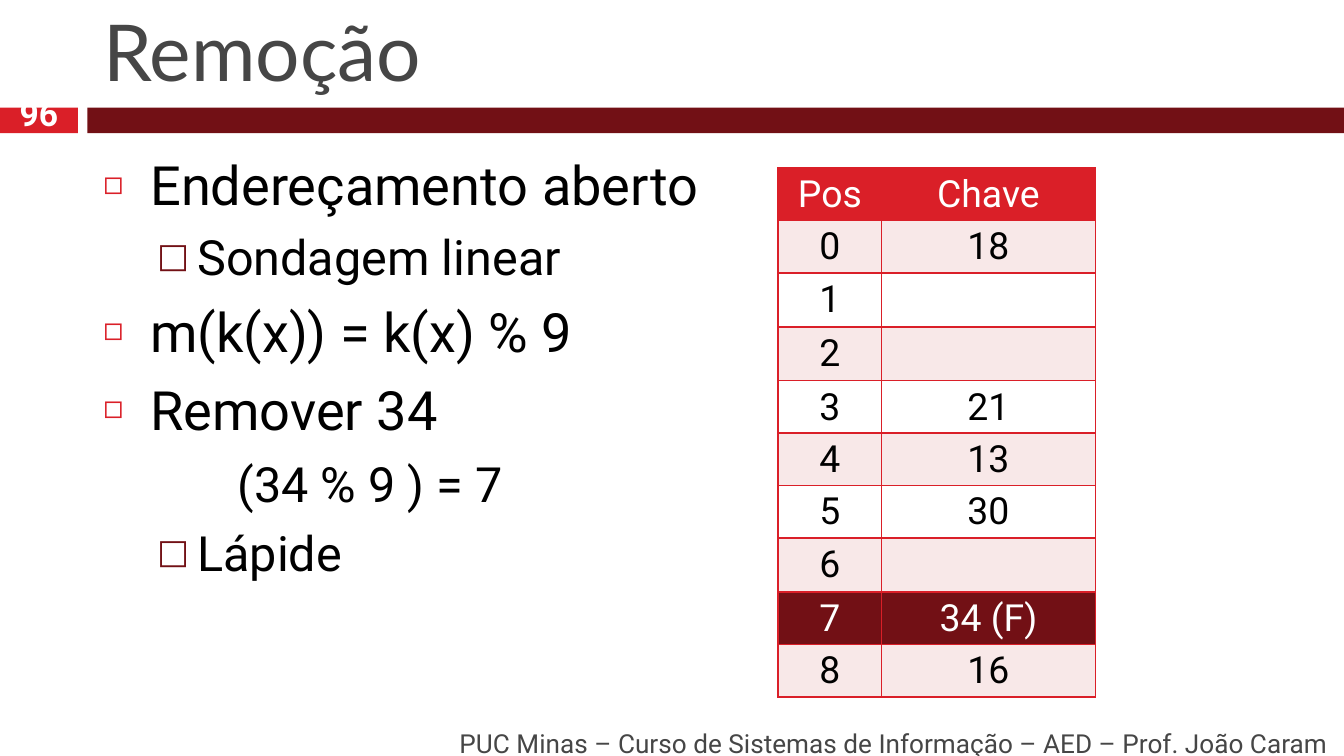
from pptx import Presentation
from pptx.dml.color import RGBColor
from pptx.enum.shapes import MSO_SHAPE
from pptx.enum.text import MSO_ANCHOR, PP_ALIGN
from pptx.oxml.ns import qn
from pptx.util import Inches, Pt
from lxml.etree import SubElement

THEME = {
    "red": "DA1F28", "dark": "721015", "gray": "464646",
    "black": "000000", "white": "FFFFFF", "pink": "F8E8E8",
    "heading": "Lato", "text": "Roboto",
    "title": 42, "body": 29, "sub": 26, "cell": 20, "number": 18, "footer": 14,
}
TITLE = "Remoção"
NUMBER = "96"
FOOTER = "PUC Minas – Curso de Sistemas de Informação – AED – Prof. João Caram"
BODY = [
    ("main", "Endereçamento aberto"),
    ("sub", "Sondagem linear"),
    ("main", "m(k(x)) = k(x) % 9"),
    ("main", "Remover 34"),
    ("plain", "(34 % 9 ) = 7"),
    ("sub", "Lápide"),
]
LEVELS = {
    "main": {"level": 0, "size": "body", "left": 0.35, "hang": -0.35,
             "before": 7, "bullet": ("◻", "red", 60)},
    "sub": {"level": 1, "size": "sub", "left": 0.7, "hang": -0.3,
            "before": 5.5, "bullet": ("□", "dark", 70)},
    "plain": {"level": 0, "size": "sub", "left": 1, "hang": 0,
              "before": 7, "bullet": None},
}
HEADER = ("Pos", "Chave")
KEYS = ["18", "", "", "21", "13", "30", "", "34 (F)", "16"]
REMOVED = 7
COLUMNS = (0.77, 1.59)
TABLE_BOX = (5.79, 1.25, sum(COLUMNS), 3.91)
ROW = 0.27
BARS = [(0, 0.58, "red"), (0.65, 9.35, "dark")]


def rgb(name):
    return RGBColor.from_string(THEME[name])


def apply(obj, values):
    for name, value in values.items():
        setattr(obj, name, value)


def style(font, size, color, face="text", bold=False):
    apply(font, {"size": Pt(THEME[size]), "name": THEME[face], "bold": bold})
    font.color.rgb = rgb(color)


def add_text(s, box, text, size, color, face="text", bold=False,
             align=PP_ALIGN.LEFT, anchor=MSO_ANCHOR.MIDDLE, spacing=1.0, side=0.1):
    tf = s.shapes.add_textbox(*map(Inches, box)).text_frame
    apply(tf, {"word_wrap": True, "vertical_anchor": anchor,
               "margin_left": Inches(side), "margin_right": Inches(side)})
    p = tf.paragraphs[0]
    apply(p, {"alignment": align, "line_spacing": spacing})
    r = p.add_run()
    r.text = text
    style(r.font, size, color, face, bold)


def add_bars(s):
    for left, width, color in BARS:
        sp = s.shapes.add_shape(MSO_SHAPE.RECTANGLE, Inches(left), Inches(0.8),
                                Inches(width), Inches(0.19))
        sp.shadow.inherit = False
        sp.fill.solid()
        sp.fill.fore_color.rgb = rgb(color)
        sp.line.fill.background()


def set_bullet(pPr, bullet):
    if bullet is None:
        SubElement(pPr, qn("a:buNone"))
        return
    char, color, percent = bullet
    SubElement(SubElement(pPr, qn("a:buClr")), qn("a:srgbClr"), val=THEME[color])
    SubElement(pPr, qn("a:buSzPct"), val=str(percent * 1000))
    SubElement(pPr, qn("a:buFont"), typeface=THEME["text"])
    SubElement(pPr, qn("a:buChar"), char=char)


def add_body(s):
    tf = s.shapes.add_textbox(*map(Inches, (0.67, 1.08, 9.22, 4.25))).text_frame
    tf.word_wrap = True
    for i, (kind, text) in enumerate(BODY):
        level = LEVELS[kind]
        p = tf.add_paragraph() if i else tf.paragraphs[0]
        p.level = level["level"]
        if i:
            p.space_before = Pt(level["before"])
        pPr = p._p.get_or_add_pPr()
        pPr.set("marL", str(Inches(level["left"])))
        pPr.set("indent", str(Inches(level["hang"])))
        set_bullet(pPr, level["bullet"])
        r = p.add_run()
        r.text = text
        style(r.font, level["size"], "black")


def set_borders(cell):
    tcPr = cell._tc.get_or_add_tcPr()
    for side in ("lnL", "lnR", "lnT", "lnB"):
        ln = SubElement(tcPr, qn(f"a:{side}"), w=str(Pt(1)))
        SubElement(SubElement(ln, qn("a:solidFill")), qn("a:srgbClr"), val=THEME["red"])


def fill_cell(cell, text, fill, color):
    set_borders(cell)
    cell.fill.solid()
    cell.fill.fore_color.rgb = rgb(fill)
    if not text:
        return
    apply(cell, {"margin_left": Inches(0.07), "margin_right": Inches(0.07),
                 "margin_top": Inches(0.05), "margin_bottom": Inches(0.03)})
    cell.text = text
    p = cell.text_frame.paragraphs[0]
    apply(p, {"alignment": PP_ALIGN.CENTER, "line_spacing": 0.93})
    style(p.runs[0].font, "cell", color)


def row_colors(i):
    if i == 0:
        return "red", "white"
    if i - 1 == REMOVED:
        return "dark", "white"
    return ("pink" if i % 2 else "white"), "black"


def add_hash_table(s):
    rows = [HEADER] + [(str(pos), key) for pos, key in enumerate(KEYS)]
    frame = s.shapes.add_table(len(rows), len(COLUMNS), *map(Inches, TABLE_BOX))
    table = frame.table
    apply(table, {"first_row": False, "horz_banding": False})
    for column, width in zip(table.columns, COLUMNS):
        column.width = Inches(width)
    for i, values in enumerate(rows):
        table.rows[i].height = Inches(ROW)
        for j, text in enumerate(values):
            fill_cell(table.cell(i, j), text, *row_colors(i))
    frame.height = Inches(TABLE_BOX[3])


def main():
    prs = Presentation()
    width = Inches(10)
    apply(prs, {"slide_width": width, "slide_height": width * 9 // 16})
    s = prs.slides.add_slide(prs.slide_layouts[6])
    add_bars(s)
    add_text(s, (0.67, 0.13, 9.22, 0.64), TITLE, "title", "gray", "heading",
             anchor=MSO_ANCHOR.BOTTOM)
    add_body(s)
    add_hash_table(s)
    add_text(s, (1.06, 5.38, 8.92, 0.3), FOOTER, "footer", "gray",
             align=PP_ALIGN.RIGHT)
    add_text(s, (0, 0.77, 0.58, 0.2), NUMBER, "number", "white", bold=True,
             align=PP_ALIGN.CENTER, spacing=0.8, side=0)
    prs.save("out.pptx")


if __name__ == "__main__":
    main()
